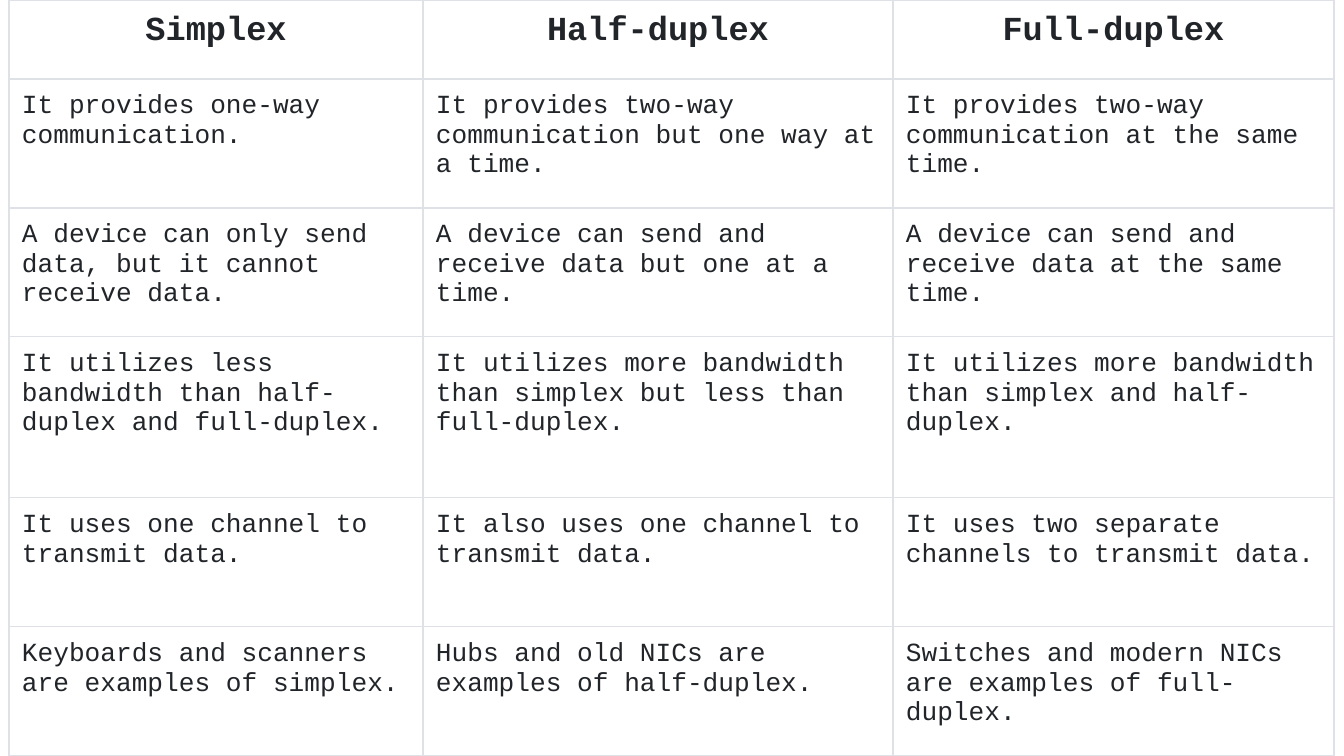
"""Build a slide with a table comparing simplex, half-duplex and full-duplex."""
from lxml import etree
from pptx import Presentation
from pptx.dml.color import RGBColor
from pptx.enum.text import PP_ALIGN
from pptx.oxml.ns import qn
from pptx.util import Pt

PX = 914400 / 134.4
WHITE = RGBColor(0xFF, 0xFF, 0xFF)
INK = RGBColor(0x21, 0x25, 0x29)
RULE = RGBColor(0xDE, 0xE2, 0xE6)
COLS = [414, 470, 441]
ROWS = [79, 129, 129, 161, 129, 129]
CELLS = [
    ["Simplex", "Half-duplex", "Full-duplex"],
    ["It provides one-way communication.",
     "It provides two-way communication but one way at a time.",
     "It provides two-way communication at the same time."],
    ["A device can only send data, but it cannot receive data.",
     "A device can send and receive data but one at a time.",
     "A device can send and receive data at the same time."],
    ["It utilizes less bandwidth than half-duplex and full-duplex.",
     "It utilizes more bandwidth than simplex but less than full-duplex.",
     "It utilizes more bandwidth than simplex and half-duplex."],
    ["It uses one channel to transmit data.",
     "It also uses one channel to transmit data.",
     "It uses two separate channels to transmit data."],
    ["Keyboards and scanners are examples of simplex.",
     "Hubs and old NICs are examples of half-duplex.",
     "Switches and modern NICs are examples of full-duplex."],
]


def px(n):
    return round(n * PX)


def add_borders(cell):
    tc_pr = cell._tc.get_or_add_tcPr()
    for i, side in enumerate(("lnL", "lnR", "lnT", "lnB")):
        ln = etree.Element(qn(f"a:{side}"), w=str(Pt(0.75)))
        fill = etree.SubElement(ln, qn("a:solidFill"))
        etree.SubElement(fill, qn("a:srgbClr"), val=str(RULE))
        tc_pr.insert(i, ln)


prs = Presentation()
prs.slide_width, prs.slide_height = px(1344), px(756)
s = prs.slides.add_slide(prs.slide_layouts[6])

table = s.shapes.add_table(len(ROWS), len(COLS), px(9), 0,
                           px(sum(COLS)), px(sum(ROWS))).table
table.horz_banding = False
for column, width in zip(table.columns, COLS):
    column.width = px(width)
for row, height in zip(table.rows, ROWS):
    row.height = px(height)

for r, texts in enumerate(CELLS):
    header = r == 0
    for c, text in enumerate(texts):
        cell = table.cell(r, c)
        cell.margin_left = cell.margin_right = px(13)
        cell.margin_top = cell.margin_bottom = px(13)
        cell.fill.solid()
        cell.fill.fore_color.rgb = WHITE
        add_borders(cell)
        p = cell.text_frame.paragraphs[0]
        p.text = text
        p.alignment = PP_ALIGN.CENTER if header else PP_ALIGN.LEFT
        p.font.name = "Courier New"
        p.font.size = Pt(18 if header else 14)
        p.font.bold = header
        p.font.color.rgb = INK

prs.save("out.pptx")
